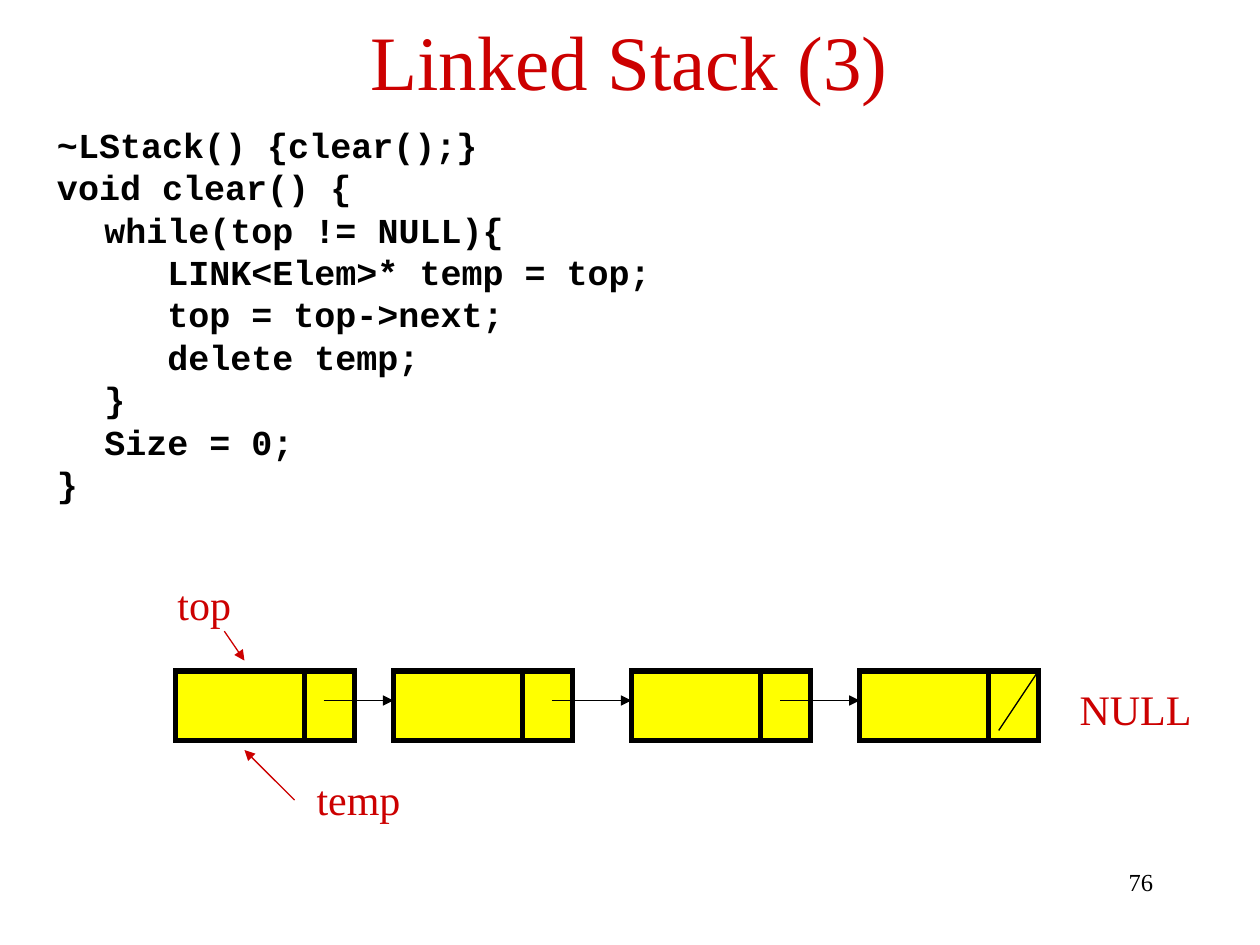
from dataclasses import dataclass

from pptx import Presentation
from pptx.dml.color import RGBColor
from pptx.enum.shapes import MSO_CONNECTOR, MSO_SHAPE
from pptx.enum.text import MSO_ANCHOR, MSO_AUTO_SIZE, PP_ALIGN
from pptx.oxml.xmlchemy import OxmlElement
from pptx.util import Pt

STRAIGHT = MSO_CONNECTOR.STRAIGHT
RECTANGLE = MSO_SHAPE.RECTANGLE
MIDDLE = MSO_ANCHOR.MIDDLE
NO_FIT = MSO_AUTO_SIZE.NONE
LEFT, CENTER, RIGHT = PP_ALIGN.LEFT, PP_ALIGN.CENTER, PP_ALIGN.RIGHT


@dataclass(frozen=True)
class Theme:
    """Colours, fonts, type sizes and line widths of the slide."""
    red: RGBColor = RGBColor(0xCC, 0, 0)
    black: RGBColor = RGBColor(0, 0, 0)
    yellow: RGBColor = RGBColor(0xFF, 0xFF, 0)
    serif: str = "Times New Roman"
    mono: str = "Courier New"
    title: int = 44
    label: int = 24
    code: int = 20
    number: int = 14
    thin: float = 0.75
    thick: float = 3


THEME = Theme()
CODE = [
    "~LStack() {clear();}",
    "void clear() {",
    "\twhile(top != NULL){",
    "\t\tLINK<Elem>* temp = top;",
    "\t\ttop = top->next;",
    "\t\tdelete temp;",
    "\t}",
    "\tSize = 0;",
    "}",
]
NODE_LEFTS = [100.2, 224.8, 360.8, 491.2]
NODE_TOP, NODE_WIDTH, NODE_HEIGHT = 383.4, 102.2, 39.8
DIVIDER = 73.8
LINK_STARTS = [185, 315.4, 446]
LINK_Y = 400.3


def add_run(p, text, font, size, color, bold=False):
    """Add one formatted run to a paragraph."""
    r = p.add_run()
    r.text = text
    r.font.name = font
    r.font.size = Pt(size)
    r.font.bold = bold
    r.font.color.rgb = color


def set_title(s, text):
    """Place and format the title placeholder."""
    sp = s.shapes.title
    sp.left, sp.top, sp.width, sp.height = Pt(35.6), Pt(-2), Pt(648), Pt(72)
    tf = sp.text_frame
    tf.auto_size = NO_FIT
    tf.vertical_anchor = MIDDLE
    p = tf.paragraphs[0]
    p.alignment = CENTER
    add_run(p, text, THEME.serif, THEME.title, THEME.red)


def add_label(s, text, x, y, width, size=THEME.label, color=THEME.red, align=LEFT):
    """Add a one-line text box."""
    tf = s.shapes.add_textbox(Pt(x), Pt(y), Pt(width), Pt(36)).text_frame
    tf.word_wrap = True
    p = tf.paragraphs[0]
    p.alignment = align
    add_run(p, text, THEME.serif, size, color)


def set_tabs(p, indent, stops):
    """Give a paragraph a hanging indent and left tab stops."""
    pPr = p._p.get_or_add_pPr()
    pPr.set("marL", str(Pt(indent)))
    pPr.set("indent", str(-Pt(indent)))
    tabs = OxmlElement("a:tabLst")
    for stop in stops:
        tab = OxmlElement("a:tab")
        tab.set("pos", str(Pt(stop)))
        tab.set("algn", "l")
        tabs.append(tab)
    pPr.append(tabs)


def add_code(s, lines):
    """Add the code listing, one paragraph per line."""
    tf = s.shapes.add_textbox(Pt(25.5), Pt(71.7), Pt(607), Pt(238.3)).text_frame
    tf.word_wrap = True
    for i, line in enumerate(lines):
        p = tf.add_paragraph() if i else tf.paragraphs[0]
        set_tabs(p, 27, [27, 99])
        p.line_spacing = 0.8
        p.space_before = Pt(5 if i else 0)
        add_run(p, line, THEME.mono, THEME.code, THEME.black, bold=True)


def add_line(s, x1, y1, x2, y2, color=THEME.black, width=THEME.thin, arrow=False):
    """Add a straight line, with an arrowhead at its end if asked."""
    cxn = s.shapes.add_connector(STRAIGHT, Pt(x1), Pt(y1), Pt(x2), Pt(y2))
    cxn.line.color.rgb = color
    cxn.line.width = Pt(width)
    if arrow:
        tail = OxmlElement("a:tailEnd")
        tail.set("type", "triangle")
        cxn.line._get_or_add_ln().append(tail)
    cxn._element.spPr.append(OxmlElement("a:effectLst"))


def add_node(s, x):
    """Add a list node with its element and link fields."""
    sp = s.shapes.add_shape(RECTANGLE, Pt(x), Pt(NODE_TOP), Pt(NODE_WIDTH), Pt(NODE_HEIGHT))
    sp.shadow.inherit = False
    sp.fill.solid()
    sp.fill.fore_color.rgb = THEME.yellow
    sp.line.color.rgb = THEME.black
    sp.line.width = Pt(THEME.thick)
    miter = OxmlElement("a:miter")
    miter.set("lim", "800000")
    sp.line._get_or_add_ln().append(miter)
    add_line(s, x + DIVIDER, NODE_TOP, x + DIVIDER, NODE_TOP + NODE_HEIGHT, width=THEME.thick)


def main():
    """Build the linked stack slide."""
    prs = Presentation()
    prs.slide_width, prs.slide_height = Pt(720), Pt(540)
    s = prs.slides.add_slide(prs.slide_layouts[5])
    add_label(s, "76", 516.2, 491.8, 149.8, THEME.number, THEME.black, RIGHT)
    add_code(s, CODE)
    set_title(s, "Linked Stack (3)")
    add_line(s, 128.2, 360.7, 139.7, 377.5, THEME.red, arrow=True)
    add_label(s, "top", 94.3, 326.9, 50)
    add_line(s, 168.3, 457.2, 139.7, 428.6, THEME.red, arrow=True)
    add_label(s, "temp", 173.8, 438.5, 68)
    for x in NODE_LEFTS:
        add_node(s, x)
    for start, end in zip(LINK_STARTS, NODE_LEFTS[1:]):
        add_line(s, start, LINK_Y, end, LINK_Y, arrow=True)
    add_line(s, 570.7, 417.4, NODE_LEFTS[-1] + NODE_WIDTH, NODE_TOP)
    add_label(s, "NULL", 609.8, 387, 82)
    prs.save("out.pptx")


if __name__ == "__main__":
    main()
